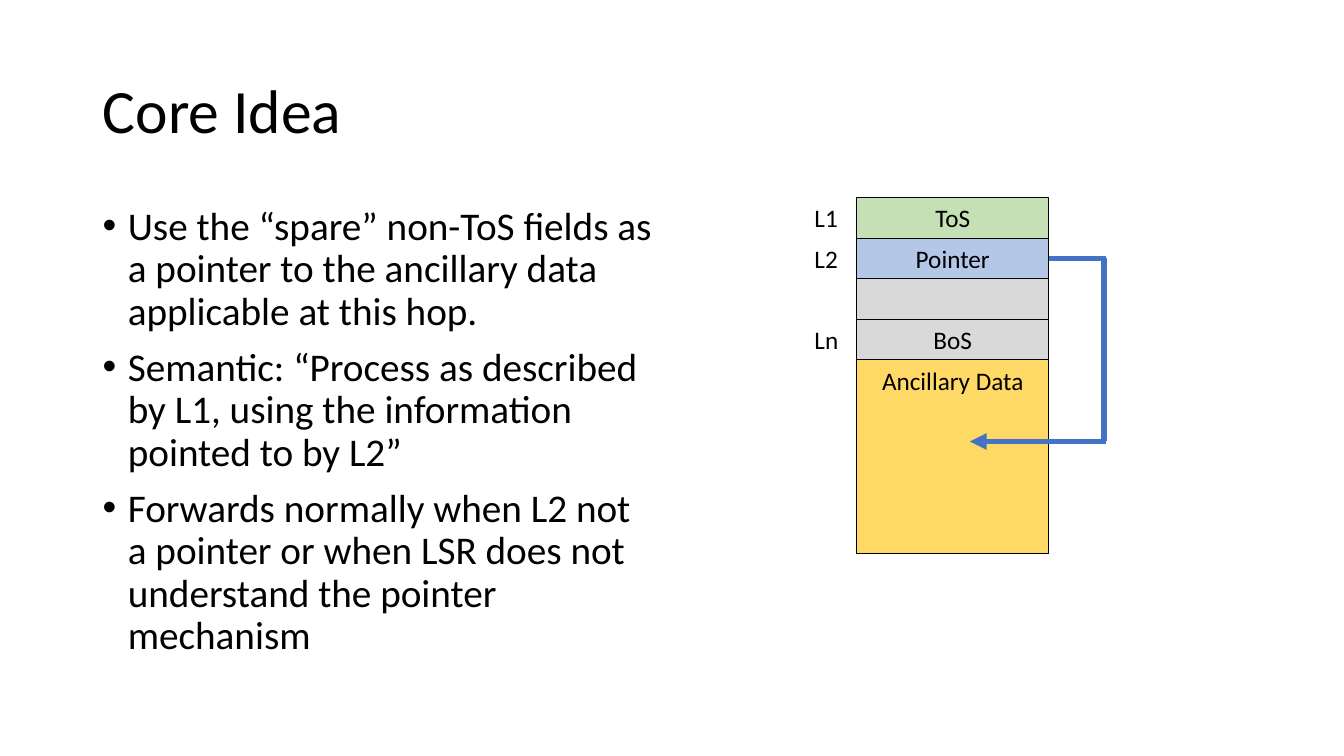
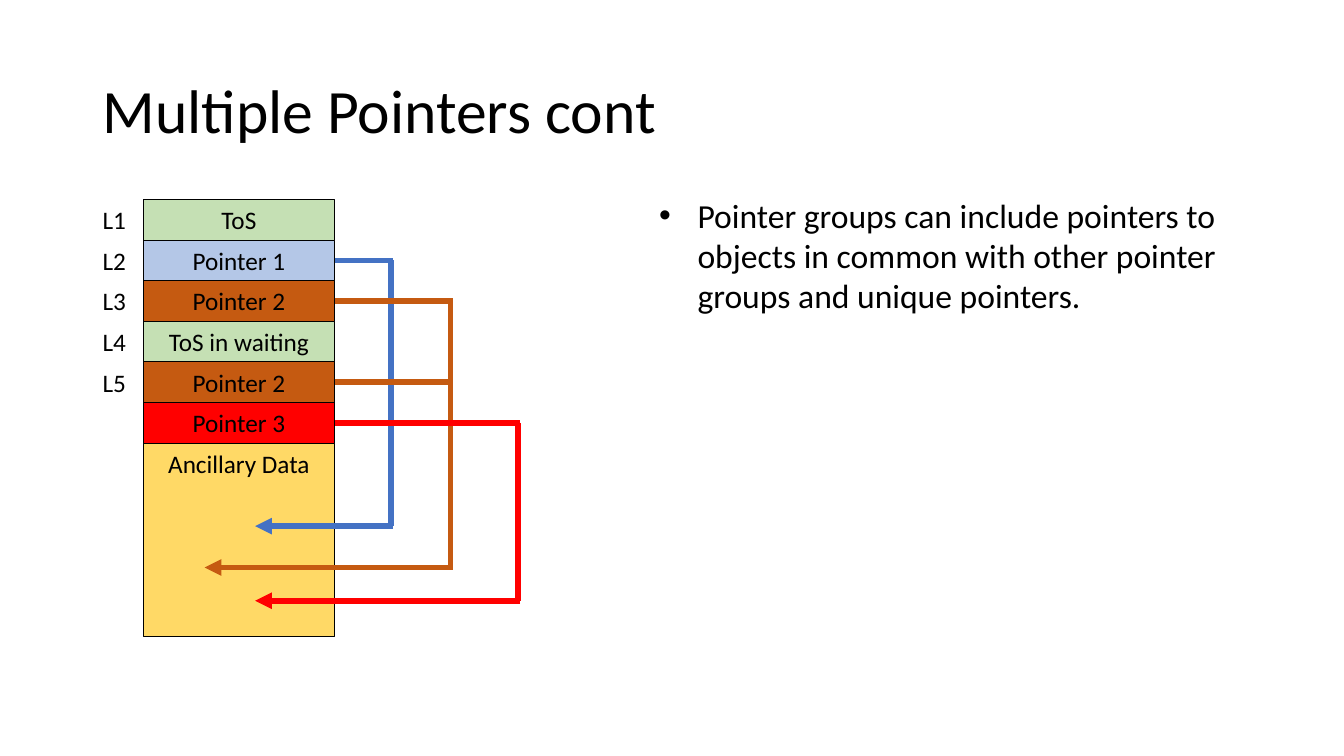
from lxml import etree
from pptx import Presentation
from pptx.dml.color import RGBColor
from pptx.enum.shapes import MSO_CONNECTOR, MSO_SHAPE
from pptx.enum.text import MSO_ANCHOR, PP_ALIGN
from pptx.oxml.ns import qn
from pptx.util import Inches, Pt

RECTANGLE = MSO_SHAPE.RECTANGLE
STRAIGHT = MSO_CONNECTOR.STRAIGHT
LEFT, CENTER = PP_ALIGN.LEFT, PP_ALIGN.CENTER
TOP, MIDDLE = MSO_ANCHOR.TOP, MSO_ANCHOR.MIDDLE

BLACK = RGBColor(0x00, 0x00, 0x00)
GREEN = RGBColor(0xC5, 0xE0, 0xB4)
LIGHT_BLUE = RGBColor(0xB4, 0xC7, 0xE7)
BLUE = RGBColor(0x44, 0x72, 0xC4)
GRAY = RGBColor(0xD9, 0xD9, 0xD9)
YELLOW = RGBColor(0xFF, 0xD9, 0x66)
BROWN = RGBColor(0xC5, 0x5A, 0x11)
RED = RGBColor(0xFF, 0x00, 0x00)

FONT = "Calibri"
TITLE_ONLY = 5
ROW_HEIGHT = 29 / 72
STACK_WIDTH = 1.9
DATA_HEIGHT = 1.92
CORNER = 0.02


def write_text(frame, *texts, size=18, align=LEFT, anchor=TOP, wrap=True,
               line_spacing=None, space_before=None, indent=None):
    frame.word_wrap = wrap
    frame.vertical_anchor = anchor
    for index, text in enumerate(texts):
        para = frame.add_paragraph() if index else frame.paragraphs[0]
        para.alignment = align
        para.line_spacing = line_spacing
        para.space_before = space_before
        span = para.add_run()
        span.text = text
        span.font.name = FONT
        span.font.size = Pt(size)
        span.font.color.rgb = BLACK
        if indent:
            add_bullet(para, indent)


def add_bullet(para, indent):
    properties = para._p.get_or_add_pPr()
    properties.set("marL", str(Inches(indent)))
    properties.set("indent", str(-Inches(indent)))
    etree.SubElement(properties, qn("a:buFont")).set("typeface", "Arial")
    etree.SubElement(properties, qn("a:buChar")).set("char", "•")


def add_text(slide, left, top, width, height, *texts, **style):
    box = slide.shapes.add_textbox(
        Inches(left), Inches(top), Inches(width), Inches(height))
    write_text(box.text_frame, *texts, **style)


def add_titled_slide(deck, text):
    slide = deck.slides.add_slide(deck.slide_layouts[TITLE_ONLY])
    title = slide.shapes.title
    title.left, title.top = Inches(0.92), Inches(0.4)
    title.width, title.height = Inches(11.5), Inches(1.45)
    write_text(title.text_frame, text, size=44, anchor=MIDDLE, line_spacing=0.9)
    return slide


def add_cell(slide, left, top, height, text, color):
    cell = slide.shapes.add_shape(
        RECTANGLE, Inches(left), Inches(top), Inches(STACK_WIDTH), Inches(height))
    cell.shadow.inherit = False
    cell.fill.solid()
    cell.fill.fore_color.rgb = color
    cell.line.color.rgb = BLACK
    cell.line.width = Pt(0.75)
    if text:
        write_text(cell.text_frame, text, align=CENTER)


def add_stack(slide, left, top, label_left, rows):
    for index, (label, text, color) in enumerate(rows):
        row_top = top + index * ROW_HEIGHT
        add_cell(slide, left, row_top, ROW_HEIGHT, text, color)
        if label:
            add_text(slide, label_left, row_top, 0.44, ROW_HEIGHT, label, wrap=False)
    data_top = top + len(rows) * ROW_HEIGHT
    add_cell(slide, left, data_top, DATA_HEIGHT, "Ancillary Data", YELLOW)


def add_line(slide, start, end, color, arrow=False):
    line = slide.shapes.add_connector(
        STRAIGHT, *(Inches(value) for value in (*start, *end)))
    line.line.color.rgb = color
    line.line.width = Pt(4)
    if arrow:
        outline = line.line._get_or_add_ln()
        etree.SubElement(outline, qn("a:tailEnd")).set("type", "triangle")
    etree.SubElement(line._element.spPr, qn("a:effectLst"))


def add_pointer(slide, left, top, row, bend, color, target=None):
    start_y = top + (row + 0.5) * ROW_HEIGHT
    add_line(slide, (left + STACK_WIDTH, start_y), (bend + CORNER, start_y), color)
    if target:
        target_x, target_y = target
        add_line(slide, (bend, start_y), (bend, target_y), color)
        add_line(slide, (bend + CORNER, target_y), target, color, arrow=True)


def build_core_idea(deck):
    slide = add_titled_slide(deck, "Core Idea")
    add_text(
        slide, 0.92, 2, 5.67, 4.76,
        "Use the “spare” non-ToS fields as a pointer to the ancillary data "
        "applicable at this hop.",
        "Semantic: “Process as described by L1, using the information "
        "pointed to by L2”",
        "Forwards normally when L2 not a pointer or when LSR does not "
        "understand the pointer mechanism",
        size=28, line_spacing=0.9, space_before=Pt(10), indent=0.25)
    left, top = 8.5, 1.96
    add_stack(slide, left, top, 7.98, [
        ("L1", "ToS", GREEN),
        ("L2", "Pointer", LIGHT_BLUE),
        (None, None, GRAY),
        ("Ln", "BoS", GRAY),
    ])
    add_pointer(slide, left, top, 1, 10.95, BLUE, target=(9.62, 4.38))


def build_multiple_pointers(deck):
    slide = add_titled_slide(deck, "Multiple Pointers cont")
    left, top = 1.42, 1.98
    add_stack(slide, left, top, 0.92, [
        ("L1", "ToS", GREEN),
        ("L2", "Pointer 1", LIGHT_BLUE),
        ("L3", "Pointer 2", BROWN),
        ("L4", "ToS in waiting", GREEN),
        ("L5", "Pointer 2", BROWN),
        (None, "Pointer 3", RED),
    ])
    add_text(
        slide, 6.44, 1.88, 5.97, 1.31,
        "Pointer groups can include pointers to objects in common with other "
        "pointer groups and unique pointers.",
        size=24, indent=0.38)
    for row, bend, color, target in [
        (1, 3.88, BLUE, (2.53, 5.22)),
        (2, 4.47, BROWN, (2.03, 5.63)),
        (4, 4.47, BROWN, None),
        (5, 5.14, RED, (2.53, 5.96)),
    ]:
        add_pointer(slide, left, top, row, bend, color, target=target)


def main():
    deck = Presentation()
    deck.slide_width, deck.slide_height = Inches(13.33), Inches(7.5)
    build_core_idea(deck)
    build_multiple_pointers(deck)
    deck.save("out.pptx")


if __name__ == "__main__":
    main()
